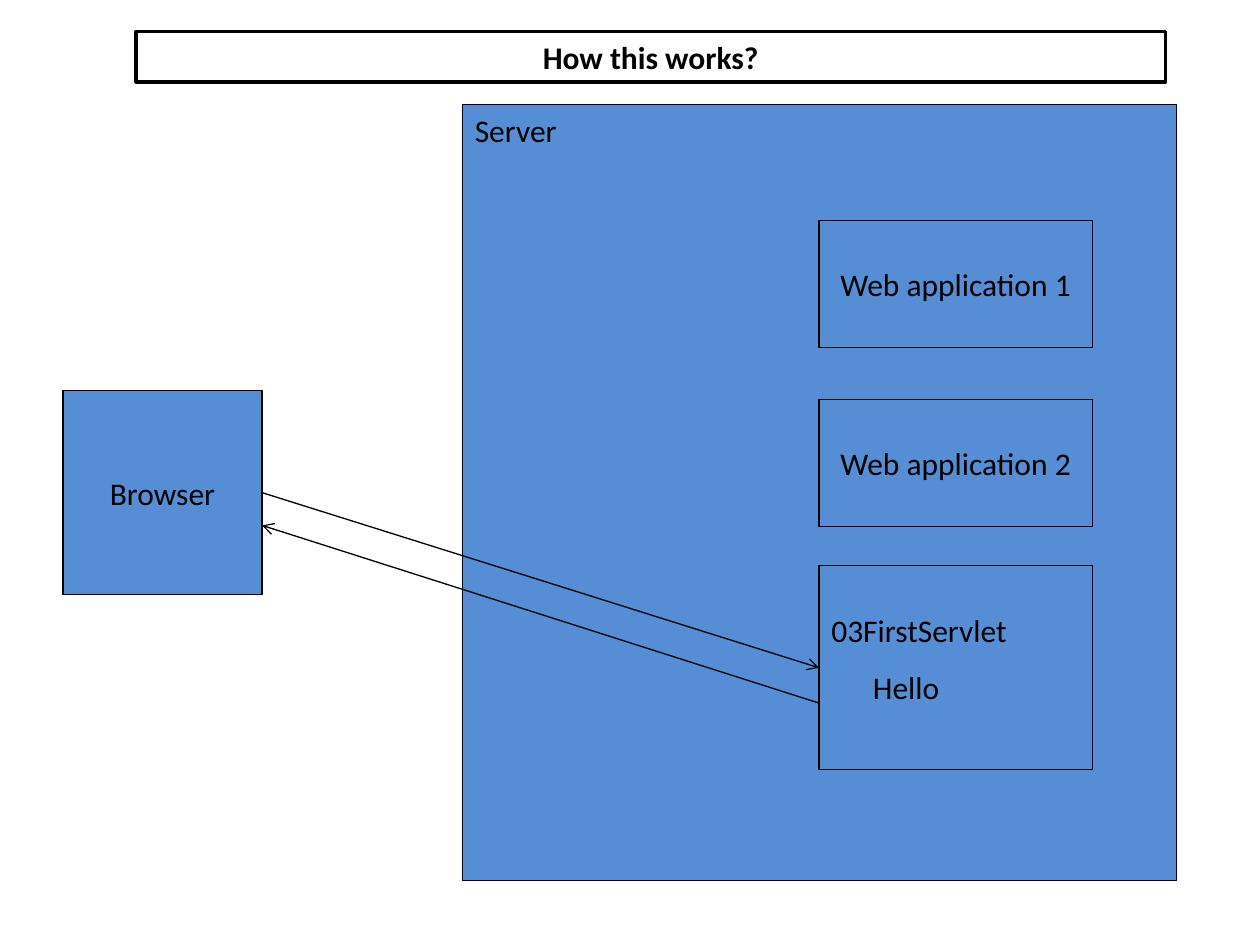
"""Build a slide showing how a browser reaches a servlet on a web server."""
from lxml.etree import SubElement
from pptx import Presentation
from pptx.dml.color import RGBColor
from pptx.enum.shapes import MSO_CONNECTOR, MSO_SHAPE
from pptx.enum.text import MSO_ANCHOR, PP_ALIGN
from pptx.oxml.ns import qn
from pptx.util import Inches, Pt

BLUE, BLACK, WHITE = "558ED5", "000000", "FFFFFF"


def rgb(value):
    return RGBColor.from_string(value)


def write(sp, text, align=PP_ALIGN.LEFT, anchor=MSO_ANCHOR.TOP, bold=False, top=0.05):
    tf = sp.text_frame
    tf.word_wrap = True
    tf.vertical_anchor = anchor
    tf.margin_top = Inches(top)
    tf.text = text
    p = tf.paragraphs[0]
    p.alignment = align
    font = p.runs[0].font
    font.name, font.size, font.bold = "Calibri", Pt(18), bold
    font.color.rgb = rgb(BLACK)


def add_box(shapes, x, y, w, h, fill=None, weight=0.75):
    sp = shapes.add_shape(MSO_SHAPE.RECTANGLE, Inches(x), Inches(y), Inches(w), Inches(h))
    sp.shadow.inherit = False
    if fill:
        sp.fill.solid()
        sp.fill.fore_color.rgb = rgb(fill)
    else:
        sp.fill.background()
    sp.line.color.rgb = rgb(BLACK)
    sp.line.width = Pt(weight)
    return sp


def add_arrow(shapes, x1, y1, x2, y2):
    line = shapes.add_connector(
        MSO_CONNECTOR.STRAIGHT, Inches(x1), Inches(y1), Inches(x2), Inches(y2))
    line.line.color.rgb = rgb(BLACK)
    line.line.width = Pt(0.75)
    SubElement(line.line._get_or_add_ln(), qn("a:tailEnd"), type="arrow")
    SubElement(line._element.spPr, qn("a:effectLst"))


def add_servlet(shapes):
    group = shapes.add_group_shape().shapes
    write(add_box(group, 6.5, 4.49, 2.17, 1.62), "03FirstServlet", top=0.36)
    label = group.add_textbox(Inches(6.83), Inches(5.25), Inches(1.17), Inches(0.4))
    write(label, "Hello")


def main():
    prs = Presentation()
    prs.slide_width, prs.slide_height = Inches(10), Inches(7.5)
    s = prs.slides.add_slide(prs.slide_layouts[6])
    shapes = s.shapes
    centred = {"align": PP_ALIGN.CENTER, "anchor": MSO_ANCHOR.MIDDLE}

    write(add_box(shapes, 0.5, 3.1, 1.58, 1.62, BLUE), "Browser", **centred)
    write(add_box(shapes, 3.67, 0.83, 5.67, 6.16, BLUE), "Server")
    for number, y in enumerate((1.75, 3.17), start=1):
        write(add_box(shapes, 6.5, y, 2.17, 1.01), f"Web application {number}", **centred)
    add_servlet(shapes)
    add_arrow(shapes, 2.08, 3.91, 6.5, 5.3)
    add_arrow(shapes, 6.5, 5.58, 2.08, 4.17)
    title = add_box(shapes, 1.08, 0.25, 8.17, 0.4, WHITE, 2)
    write(title, "How this works?", bold=True, **centred)
    prs.save("out.pptx")


main()
